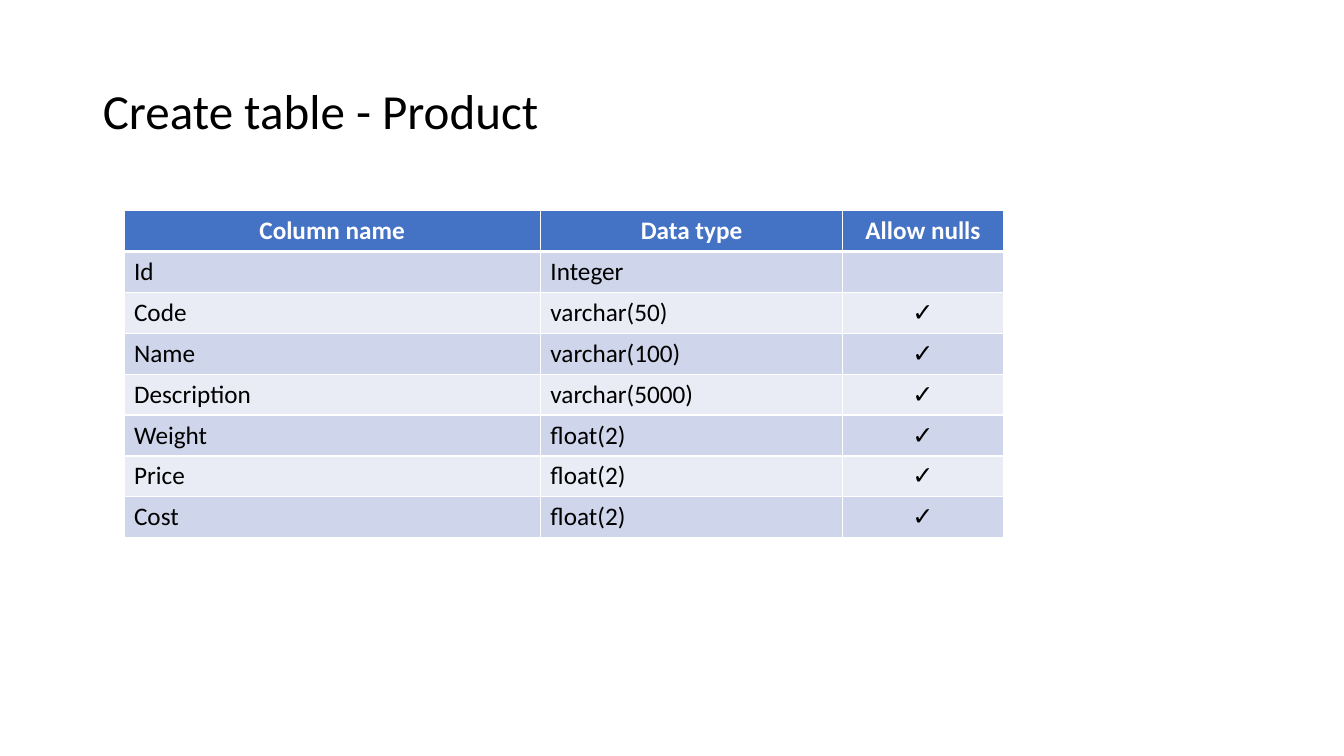
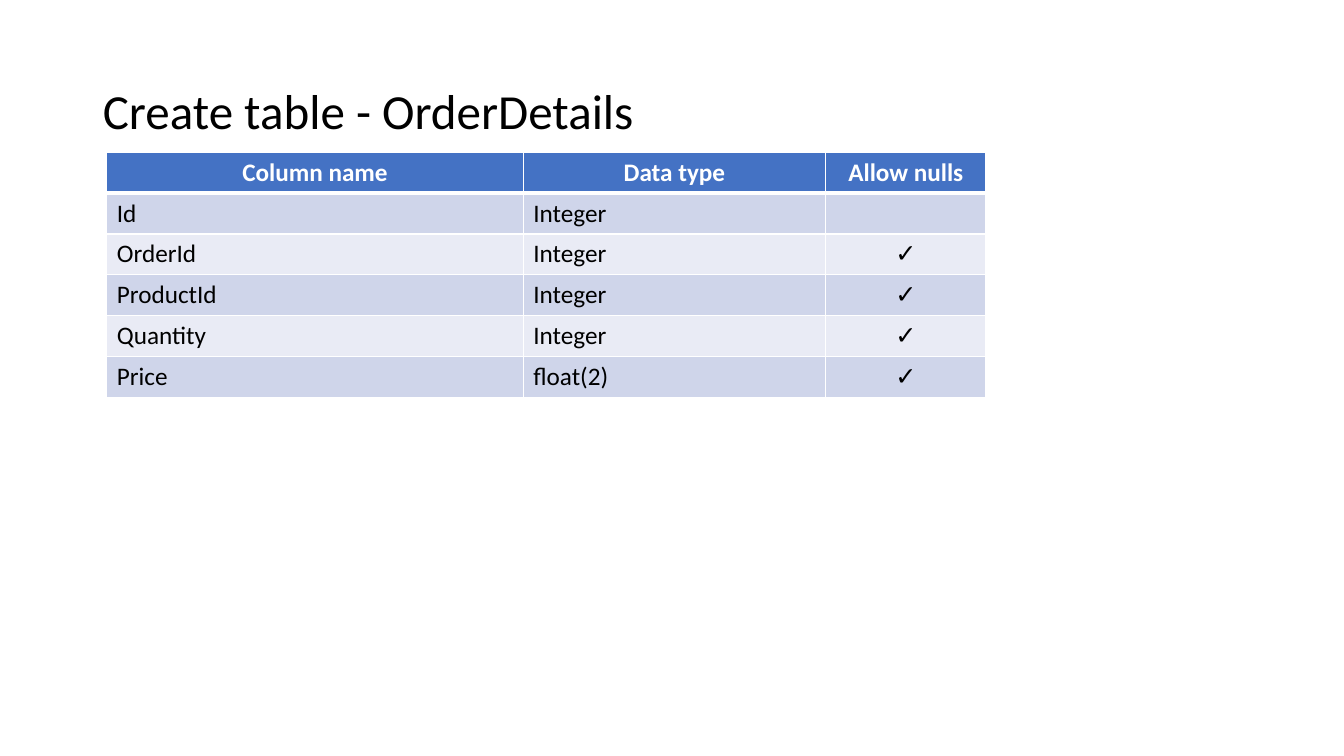
"""Build two slides that describe the columns of database tables."""
import pptx
import pptx.dml.color
import pptx.enum.text
import pptx.oxml.ns
import pptx.util
from lxml import etree

Inches = pptx.util.Inches
Pt = pptx.util.Pt
ALIGN = pptx.enum.text.PP_ALIGN

COLORS = {
    "text": "000000",
    "header": "4472C4",
    "header_text": "FFFFFF",
    "odd_row": "CFD5EA",
    "even_row": "E9EBF5",
    "border": "FFFFFF",
}
FONT = "Calibri"
HEADINGS = ("Column name", "Data type", "Allow nulls")
COLUMN_WIDTHS = (4.13, 3, 1.59)
NULLS_COLUMN = 2

SCHEMAS = [
    {
        "title": "Create table - Product",
        "left": 1.23, "top": 2.09, "height": 3.24,
        "columns": [
            ("Id", "Integer", ""),
            ("Code", "varchar(50)", "✓"),
            ("Name", "varchar(100)", "✓"),
            ("Description", "varchar(5000)", "✓"),
            ("Weight", "float(2)", "✓"),
            ("Price", "float(2)", "✓"),
            ("Cost", "float(2)", "✓"),
        ],
    },
    {
        "title": "Create table - OrderDetails",
        "left": 1.06, "top": 1.51, "height": 2.43,
        "columns": [
            ("Id", "Integer", ""),
            ("OrderId", "Integer", "✓"),
            ("ProductId", "Integer", "✓"),
            ("Quantity", "Integer", "✓"),
            ("Price", "float(2)", "✓"),
        ],
    },
]


def color(name):
    return pptx.dml.color.RGBColor.from_string(COLORS[name])


def add_text(paragraph, text, size, color_name, align, bold=False):
    paragraph.alignment = align
    run = paragraph.add_run()
    run.text = text
    run.font.name = FONT
    run.font.size = Pt(size)
    run.font.bold = bold
    run.font.color.rgb = color(color_name)


def add_title(slide, text):
    title = slide.shapes.title
    title.left, title.top = Inches(0.92), Inches(0.74)
    title.width, title.height = Inches(11.5), Inches(0.77)
    frame = title.text_frame
    frame.word_wrap = True
    frame.auto_size = pptx.enum.text.MSO_AUTO_SIZE.NONE
    frame.vertical_anchor = pptx.enum.text.MSO_ANCHOR.MIDDLE
    frame.paragraphs[0].line_spacing = 0.9
    add_text(frame.paragraphs[0], text, 35, "text", ALIGN.LEFT)


def add_borders(cell, top, bottom):
    qn = pptx.oxml.ns.qn
    properties = cell._tc.get_or_add_tcPr()
    for side, width in (("L", 1), ("R", 1), ("T", top), ("B", bottom)):
        line = etree.SubElement(properties, qn(f"a:ln{side}"), w=str(Pt(width)))
        fill = etree.SubElement(line, qn("a:solidFill"))
        etree.SubElement(fill, qn("a:srgbClr"), val=COLORS["border"])


def fill_cell(cell, text, row, column):
    is_header = row == 0
    add_borders(cell, 3 if row == 1 else 1, 3 if is_header else 1)
    band = "header" if is_header else "odd_row" if row % 2 else "even_row"
    cell.fill.solid()
    cell.fill.fore_color.rgb = color(band)
    if text:
        centered = is_header or column == NULLS_COLUMN
        add_text(cell.text_frame.paragraphs[0], text, 18,
                 "header_text" if is_header else "text",
                 ALIGN.CENTER if centered else ALIGN.LEFT, is_header)


def add_schema(slide, schema):
    rows = [HEADINGS, *schema["columns"]]
    table = slide.shapes.add_table(
        len(rows), len(HEADINGS), Inches(schema["left"]), Inches(schema["top"]),
        Inches(sum(COLUMN_WIDTHS)), Inches(schema["height"])).table
    for column, width in zip(table.columns, COLUMN_WIDTHS):
        column.width = Inches(width)
    for row, texts in enumerate(rows):
        for column, text in enumerate(texts):
            fill_cell(table.cell(row, column), text, row, column)


def main():
    deck = pptx.Presentation()
    deck.slide_width, deck.slide_height = Inches(13.33), Inches(7.5)
    title_only = deck.slide_layouts[5]
    for schema in SCHEMAS:
        slide = deck.slides.add_slide(title_only)
        add_title(slide, schema["title"])
        add_schema(slide, schema)
    deck.save("out.pptx")


if __name__ == "__main__":
    main()
